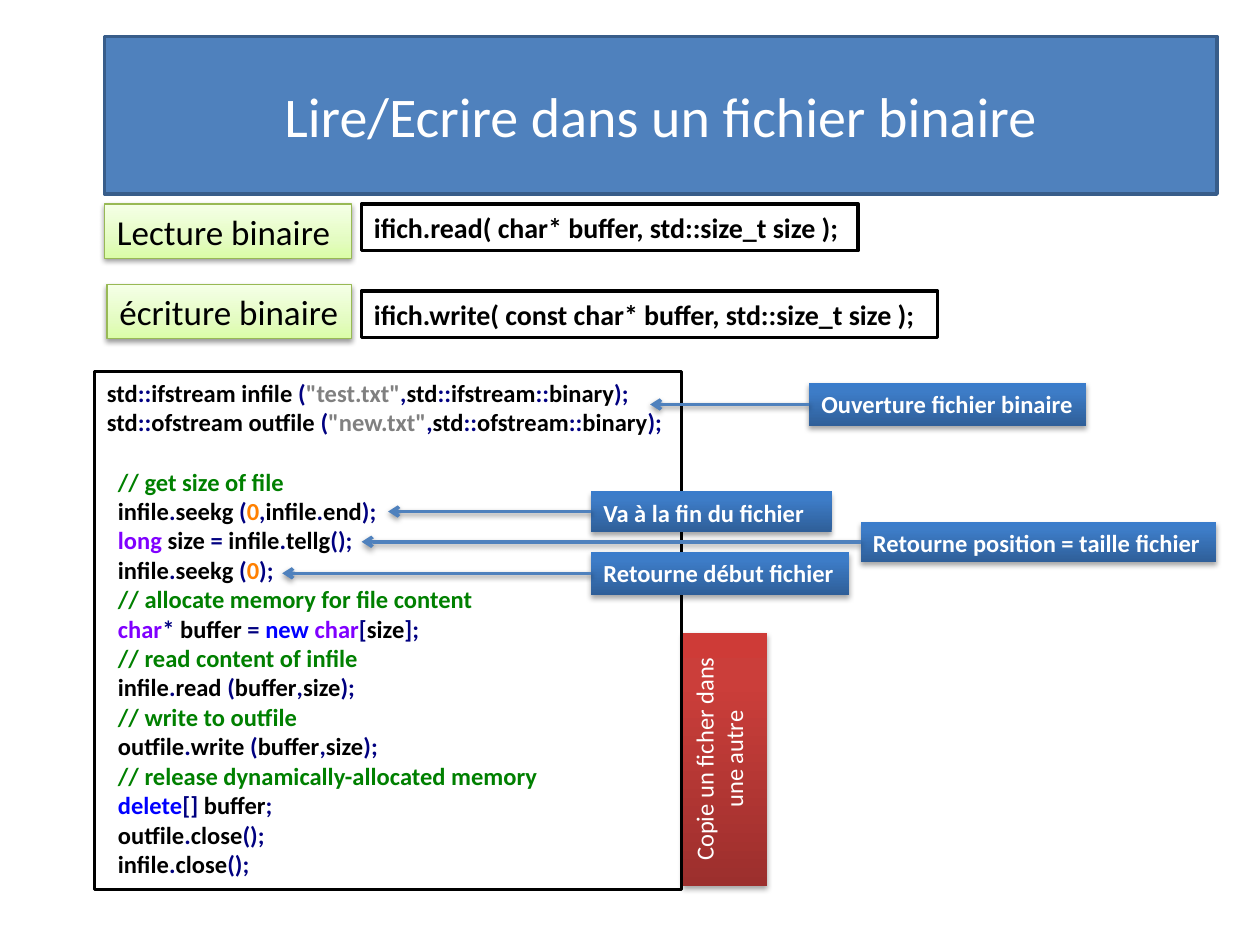
import itertools

import pptx
import pptx.dml.color
import pptx.enum.shapes
import pptx.enum.text
import pptx.oxml
import pptx.oxml.ns
import pptx.util

COLUMNS, ROWS = 100, 75
CELL = pptx.util.Inches(0.1)
FONT = "Calibri"
WHITE, BLACK, BLUE = "FFFFFF", "000000", "4F81BD"
GREEN_BLEND = ((0, "DAFDA7"), (35, "E4FCC2"), (100, "F5FFE7"))
BLUE_BLEND = ((0, "2F5F99"), (80, "3D7CC7"), (100, "3A7CCB"))
RED_BLEND = ((0, "9C2F2D"), (80, "CB3E3A"), (100, "CE3B37"))
LIGHT_SHADOW, DEEP_SHADOW = (38, 1.6), (35, 1.8)
LEFT = pptx.enum.text.PP_ALIGN.LEFT
CENTER = pptx.enum.text.PP_ALIGN.CENTER

PUNCTUATION = "()[]:;,.*="
NAVY, GREY, GREEN, ORANGE = "000080", "808080", "008000", "FF8000"
KEYWORDS = {"long": "8000FF", "char": "8000FF", "new": "0000FF", "delete": "0000FF"}
CODE = """std::ifstream infile ("test.txt",std::ifstream::binary);
std::ofstream outfile ("new.txt",std::ofstream::binary);

  // get size of file
  infile.seekg (0,infile.end);
  long size = infile.tellg();
  infile.seekg (0);
  // allocate memory for file content
  char* buffer = new char[size];
  // read content of infile
  infile.read (buffer,size);
  // write to outfile
  outfile.write (buffer,size);
  // release dynamically-allocated memory
  delete[] buffer;
  outfile.close();
  infile.close();"""


def rgb(color):
    return pptx.dml.color.RGBColor.from_string(color)


def grid(*cells):
    return [round(cell * CELL) for cell in cells]


def drawing(markup):
    return pptx.oxml.parse_xml(markup.replace(">", f" {pptx.oxml.ns.nsdecls('a')}>", 1))


def add_shadow(effects, opacity, distance):
    effects.append(drawing(
        f'<a:outerShdw blurRad="{pptx.util.Pt(3.1)}" dist="{pptx.util.Pt(distance)}" '
        f'dir="5400000" rotWithShape="0"><a:srgbClr val="{BLACK}">'
        f'<a:alpha val="{opacity * 1000}"/></a:srgbClr></a:outerShdw>'))


def blend(box, stops):
    box.fill.gradient()
    box.fill.gradient_angle = 90
    stop_list = box._element.spPr.find(".//" + pptx.oxml.ns.qn("a:gsLst"))
    stop_list.clear()
    for position, color in stops:
        stop_list.append(drawing(
            f'<a:gs pos="{position * 1000}"><a:srgbClr val="{color}"/></a:gs>'))


def style(span, size, color, bold=False):
    span.font.name = FONT
    span.font.size = pptx.util.Pt(size)
    span.font.bold = bold
    span.font.color.rgb = rgb(color)


def add_box(page, cells, fill, line=None, shadow=None):
    box = page.shapes.add_shape(pptx.enum.shapes.MSO_SHAPE.RECTANGLE, *grid(*cells))
    if isinstance(fill, str):
        box.fill.solid()
        box.fill.fore_color.rgb = rgb(fill)
    else:
        blend(box, fill)
    if line:
        color, width = line
        box.line.color.rgb = rgb(color)
        box.line.width = pptx.util.Pt(width)
    else:
        box.line.fill.background()
    box.shadow.inherit = False
    if shadow:
        add_shadow(box._element.spPr.find(pptx.oxml.ns.qn("a:effectLst")), *shadow)
    frame = box.text_frame
    frame.word_wrap = True
    frame.vertical_anchor = pptx.enum.text.MSO_ANCHOR.TOP
    return box


def write(box, text, size, color, bold=False, align=LEFT):
    box.text_frame.text = text
    para = box.text_frame.paragraphs[0]
    para.alignment = align
    style(para.runs[0], size, color, bold)


def add_title(page, text):
    box = add_box(page, (8.3, 2.9, 88.3, 12.5), BLUE, ("385D8A", 2))
    box.text_frame.vertical_anchor = pptx.enum.text.MSO_ANCHOR.MIDDLE
    write(box, text, 32, WHITE, align=CENTER)


def add_heading(page, cells, text):
    box = add_box(page, cells, GREEN_BLEND, ("98B955", 0.75), LIGHT_SHADOW)
    write(box, text, 20, BLACK)


def add_signature(page, cells, text):
    write(add_box(page, cells, WHITE, (BLACK, 2)), text, 16, BLACK, True)


def kind_of(character):
    if character in PUNCTUATION:
        return "punctuation"
    return "space" if character == " " else "word"


def tokens(line):
    if line.lstrip().startswith("//"):
        yield line, GREEN
        return
    for index, piece in enumerate(line.split('"')):
        if index % 2:
            yield f'"{piece}"', GREY
            continue
        for kind, characters in itertools.groupby(piece, kind_of):
            word = "".join(characters)
            if kind == "punctuation":
                yield word, NAVY
            else:
                yield word, ORANGE if word.isdigit() else KEYWORDS.get(word, BLACK)


def add_code(page, cells, code):
    frame = add_box(page, cells, WHITE, (BLACK, 2)).text_frame
    for block_index, block in enumerate(code.split("\n\n")):
        for line_index, line in enumerate(block.split("\n")):
            first = block_index == line_index == 0
            para = frame.paragraphs[0] if first else frame.add_paragraph()
            para.alignment = LEFT
            if block_index and not line_index:
                para.space_before = pptx.util.Pt(17)
            for color, group in itertools.groupby(tokens(line), lambda token: token[1]):
                span = para.add_run()
                span.text = "".join(word for word, _ in group)
                style(span, 14, color, True)


def add_callout(page, cells, text, arrow_end):
    label = add_box(page, cells, BLUE_BLEND, shadow=DEEP_SHADOW)
    write(label, text, 14, WHITE, True)
    middle = label.top + label.height // 2
    arrow = page.shapes.add_connector(
        pptx.enum.shapes.MSO_CONNECTOR.STRAIGHT,
        label.left, middle, round(arrow_end * CELL), middle)
    arrow.begin_connect(label, 1)
    arrow.line.color.rgb = rgb(BLUE)
    arrow.line.width = pptx.util.Pt(2)
    arrow.line._get_or_add_ln().append(drawing('<a:tailEnd type="arrow"></a:tailEnd>'))
    effects = drawing("<a:effectLst></a:effectLst>")
    add_shadow(effects, *LIGHT_SHADOW)
    arrow._element.spPr.append(effects)


def add_side_banner(page, cells, text):
    box = add_box(page, cells, RED_BLEND, shadow=DEEP_SHADOW)
    box.text_frame._txBody.bodyPr.set("vert", "vert270")
    write(box, text, 14, WHITE, align=CENTER)


def main():
    deck = pptx.Presentation()
    deck.slide_width, deck.slide_height = grid(COLUMNS, ROWS)
    page = deck.slides.add_slide(deck.slide_layouts[6])
    add_title(page, "Lire/Ecrire dans un fichier binaire")
    add_heading(page, (8.3, 16.2, 19.6, 4.3), "Lecture binaire")
    add_signature(page, (28.7, 16.2, 39.4, 3.7),
                  "ifich.read( char* buffer, std::size_t size );")
    add_heading(page, (8.5, 22.6, 19.4, 4.3), "écriture binaire")
    add_signature(page, (28.7, 23.1, 45.7, 3.7),
                  "ifich.write( const char* buffer, std::size_t size );")
    add_code(page, (7.5, 29.5, 46.6, 41.1), CODE)
    for cells, text, arrow_end in (
        ((64.2, 30.4, 22, 3.4), "Ouverture fichier binaire", 51.6),
        ((46.9, 39, 19.1, 3.2), "Va à la fin du fichier", 30.8),
        ((68.3, 41.4, 28.2, 3.2), "Retourne position = taille fichier", 28.7),
        ((46.9, 43.8, 20.5, 3.4), "Retourne début fichier", 22.4),
    ):
        add_callout(page, cells, text, arrow_end)
    add_side_banner(page, (54.2, 50.2, 6.7, 20.1), "Copie un ficher dans une autre")
    deck.save("out.pptx")


if __name__ == "__main__":
    main()
